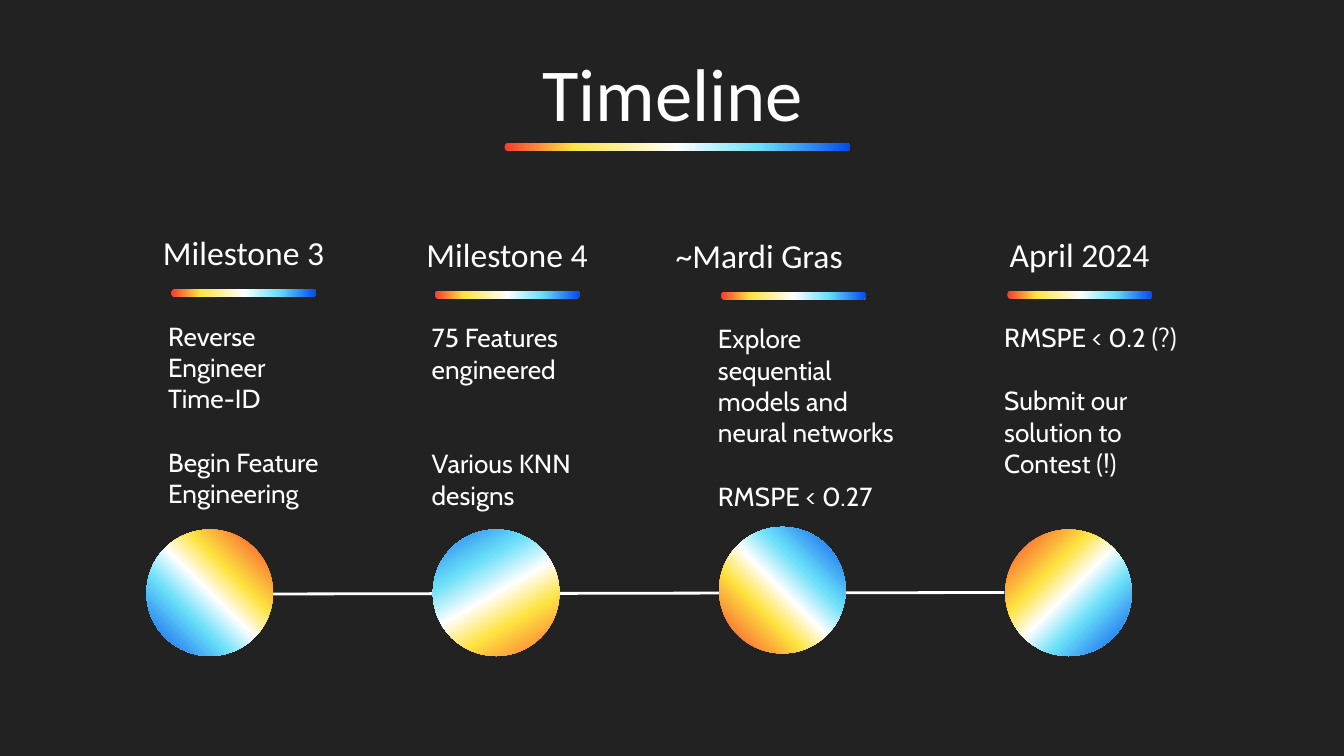
from dataclasses import dataclass

from lxml.etree import SubElement
from pptx import Presentation
from pptx.dml.color import RGBColor
from pptx.enum.shapes import MSO_CONNECTOR, MSO_SHAPE
from pptx.enum.text import PP_ALIGN
from pptx.oxml.ns import qn
from pptx.shapes.autoshape import Shape
from pptx.slide import Slide
from pptx.util import Cm, Pt


@dataclass(frozen=True)
class Theme:
    background: str = "222222"
    ink: str = "FFFFFF"
    spectrum: tuple[str, ...] = ("F73A2D", "FDE340", "FFFFFF", "69DFF8", "034BEE")
    circle_stops: tuple[int, ...] = (0, 34, 50, 67, 100)
    bar_stops: tuple[int, ...] = (0, 20, 50, 74, 100)
    heading_font: str = "Calibri"
    body_font: str = "Cabin"
    title_size: int = 40
    heading_size: int = 18
    body_size: int = 14


@dataclass(frozen=True)
class Milestone:
    """A timeline column; lengths are centimetres, gap is points."""
    heading: str
    notes: tuple[str, ...]
    left: float
    top: float
    body_width: float
    circle_top: float
    rotation: int
    gap: int = 17
    align: PP_ALIGN = PP_ALIGN.CENTER


THEME = Theme()
CIRCLE_SIZE = 2.39
CIRCLE_LEFT = 2.77
CIRCLE_PITCH = 5.41
BAR_THICKNESS = 0.15
COLUMN_WIDTH = 4.95

MILESTONES = (
    Milestone("Milestone 3", ("Reverse Engineer Time-ID", "Begin Feature Engineering"),
              2.13, 4.14, 4.95, 10.01, 0),
    Milestone("Milestone 4", ("75 Features engineered", "Various KNN designs"),
              7.11, 4.17, 4.95, 10.01, 105, gap=34),
    Milestone("~Mardi Gras",
              ("Explore sequential models and neural networks", "RMSPE < 0.27"),
              12.52, 4.19, 5.18, 9.96, 180, align=PP_ALIGN.LEFT),
    Milestone("April 2024", ("RMSPE < 0.2 (?)", "Submit our solution to Contest (!)"),
              17.93, 4.17, 5.33, 10.01, 270),
)


def fill_spectrum(shape: Shape, stops: tuple[int, ...], angle: int) -> None:
    """Fill with the five spectrum colours, the angle running clockwise."""
    shape.shadow.inherit = False
    shape.line.fill.background()
    shape.fill.gradient()
    gradient = shape._element.spPr.find(qn("a:gradFill"))
    for child in list(gradient):
        gradient.remove(child)
    gradient.set("rotWithShape", "1")
    stop_list = SubElement(gradient, qn("a:gsLst"))
    for position, color in zip(stops, THEME.spectrum):
        stop = SubElement(stop_list, qn("a:gs"), pos=str(position * 1000))
        SubElement(stop, qn("a:srgbClr"), val=color)
    SubElement(gradient, qn("a:lin"), ang=str(angle * 60000), scaled="0")


def add_bar(page: Slide, center_x: float, center_y: float, length: float) -> None:
    """Draw an upright pill and turn it on its side about its centre."""
    bar = page.shapes.add_shape(
        MSO_SHAPE.ROUNDED_RECTANGLE,
        Cm(center_x - BAR_THICKNESS / 2), Cm(center_y - length / 2),
        Cm(BAR_THICKNESS), Cm(length))
    bar.adjustments[0] = 0.5
    bar.rotation = 270
    fill_spectrum(bar, THEME.bar_stops, 90)


def add_text(page: Slide, paragraphs: tuple[str, ...], left: float, top: float,
             width: float, height: float, font: str, size: int,
             align: PP_ALIGN = PP_ALIGN.LEFT, gap: int = 0, indent: float = 0) -> None:
    box = page.shapes.add_textbox(Cm(left), Cm(top), Cm(width), Cm(height))
    frame = box.text_frame
    frame.word_wrap = True
    frame.margin_left = frame.margin_right = Cm(0.25)
    frame.margin_top = frame.margin_bottom = Cm(0.25)
    for index, text in enumerate(paragraphs):
        para = frame.add_paragraph() if index else frame.paragraphs[0]
        para.alignment = align
        if index:
            para.space_before = Pt(gap)
        if indent:
            para._p.get_or_add_pPr().set("marL", str(Cm(indent)))
        span = para.add_run()
        span.text = text
        span.font.name = font
        span.font.size = Pt(size)
        span.font.color.rgb = RGBColor.from_string(THEME.ink)


def add_axis(page: Slide) -> None:
    axis = page.shapes.add_connector(
        MSO_CONNECTOR.STRAIGHT, Cm(3.84), Cm(11.23), Cm(18.98), Cm(11.2))
    axis.line.color.rgb = RGBColor.from_string(THEME.ink)
    axis.line.width = Pt(1.5)
    SubElement(axis._element.spPr, qn("a:effectLst"))


def add_milestone(page: Slide, item: Milestone, column: int) -> None:
    circle = page.shapes.add_shape(
        MSO_SHAPE.OVAL, Cm(CIRCLE_LEFT + column * CIRCLE_PITCH), Cm(item.circle_top),
        Cm(CIRCLE_SIZE), Cm(CIRCLE_SIZE))
    circle.rotation = item.rotation
    fill_spectrum(circle, THEME.circle_stops, 135)
    add_text(page, (item.heading,), item.left, item.top, COLUMN_WIDTH, 1.47,
             THEME.heading_font, THEME.heading_size, item.align)
    add_bar(page, item.left + COLUMN_WIDTH / 2, item.top + 1.4, 2.74)
    add_text(page, item.notes, item.left - 0.47, item.top + 1.66, item.body_width, 4.01,
             THEME.body_font, THEME.body_size, gap=item.gap, indent=1.27)


def main() -> None:
    deck = Presentation()
    deck.slide_width, deck.slide_height = Cm(25.4), Cm(14.29)
    page = deck.slides.add_slide(deck.slide_layouts[6])
    page.background.fill.solid()
    page.background.fill.fore_color.rgb = RGBColor.from_string(THEME.background)
    add_axis(page)
    add_text(page, ("Timeline",), 2.01, 0.64, 21.41, 1.6,
             THEME.heading_font, THEME.title_size, PP_ALIGN.CENTER)
    add_bar(page, 12.8, 2.78, 6.53)
    for column, item in enumerate(MILESTONES):
        add_milestone(page, item, column)
    deck.save("out.pptx")


if __name__ == "__main__":
    main()
